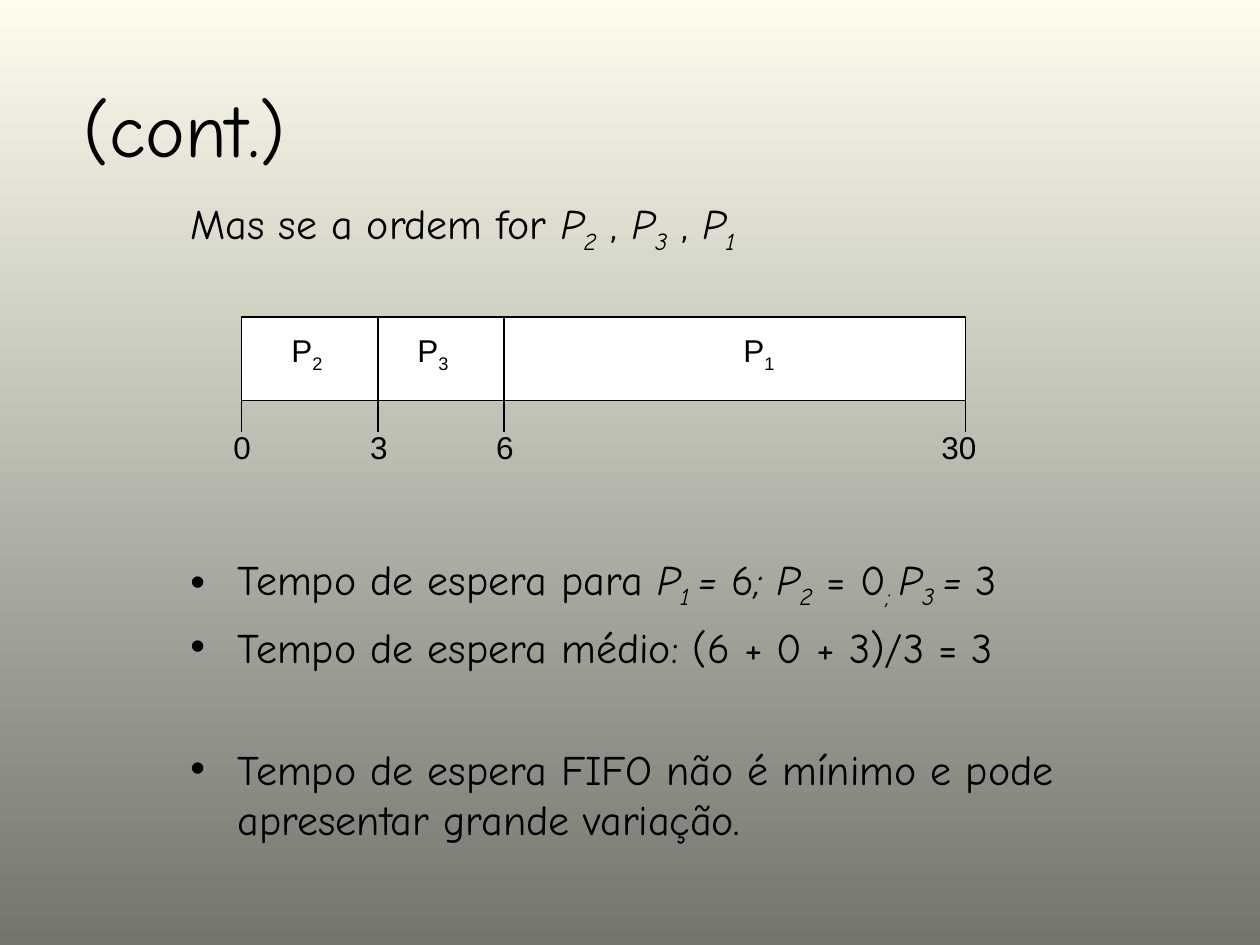
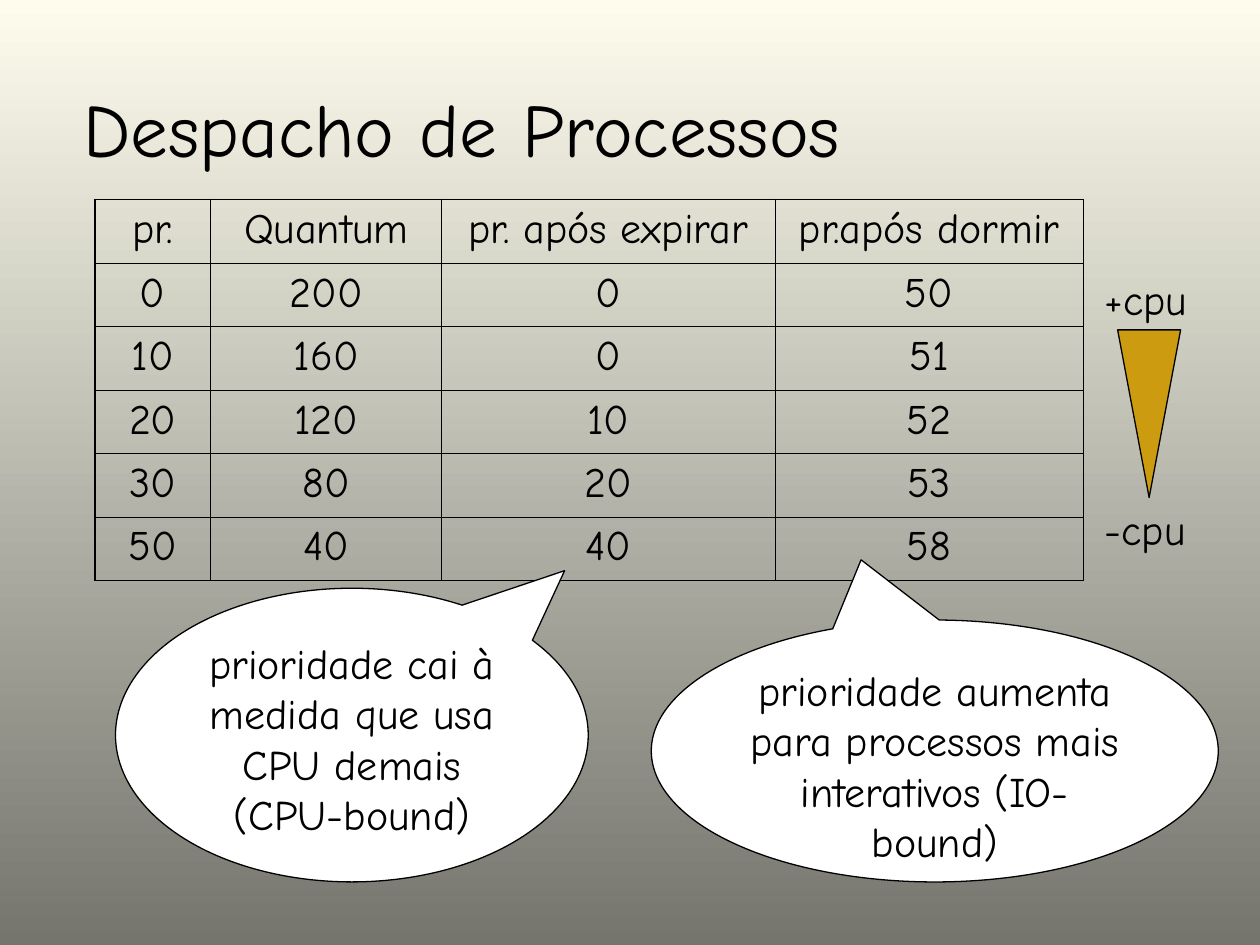
from lxml import etree
from pptx import Presentation, util as u
from pptx.dml.color import RGBColor
from pptx.enum import shapes, text
from pptx.oxml.ns import qn

BLACK, WHITE, GOLD = "000000", "FFFFFF", "CC9B10"
BACK_TOP, BACK_BOTTOM = "FDFCED", "75756E"
HAND, PLAIN = "Comic Neue", "Arial"
CENTER = text.PP_ALIGN.CENTER
TOP, MIDDLE = text.MSO_ANCHOR.TOP, text.MSO_ANCHOR.MIDDLE


def color(code):
    return RGBColor.from_string(code)


def lengths(*values):
    return [u.Cm(value) for value in values]


def process(number):
    """Spans for a process name: italic P with a subscript number."""
    return [("P", "i"), (number, "is")]


def add_bullet(para, indent):
    props = para._p.get_or_add_pPr()
    props.set("marL", str(u.Cm(indent)))
    props.set("indent", str(-u.Cm(indent)))
    etree.SubElement(props, qn("a:buFont"), typeface=PLAIN)
    etree.SubElement(props, qn("a:buChar"), char="•")


def write(frame, paras, size=24, font=HAND, align=None, anchor=TOP, wrap=True,
          bullet=None, gaps=()):
    """Each paragraph is a string or a list of (text, style); i = italic, s = subscript."""
    frame.word_wrap = wrap
    frame.vertical_anchor = anchor
    for index, spans in enumerate(paras):
        para = frame.add_paragraph() if index else frame.paragraphs[0]
        if index and gaps:
            para.space_before = u.Pt(gaps[index - 1])
        if bullet:
            add_bullet(para, bullet)
        para.alignment = align
        for words, style in [(spans, "")] if isinstance(spans, str) else spans:
            span = para.add_run()
            span.text = words
            span.font.name, span.font.size = font, u.Pt(size)
            span.font.color.rgb = color(BLACK)
            if "i" in style:
                span.font.italic = True
            if "s" in style:
                span._r.get_or_add_rPr().set("baseline", "-25000")


class Painter:
    line_width = 0.75
    outer_border, inner_border = 1.08, 0.45

    def __init__(self):
        self.deck = Presentation()
        self.deck.slide_width, self.deck.slide_height = lengths(25.4, 19.05)
        self.page = None

    def new_page(self, title):
        self.page = self.deck.slides.add_slide(self.deck.slide_layouts[6])
        fill = self.page.background.fill
        fill.gradient()
        fill.gradient_angle = 270
        for stop, code in zip(fill.gradient_stops, (BACK_TOP, BACK_BOTTOM)):
            stop.color.rgb = color(code)
        self.label(1.43, 1.52, 23.88, 2.08, [title], size=43, anchor=MIDDLE)

    def label(self, left, top, width, height, paras, **style):
        box = self.page.shapes.add_textbox(*lengths(left, top, width, height))
        write(box.text_frame, paras, **style)

    def centered_label(self, middle, top, width, height, spans):
        self.label(middle - width / 2, top, width, height, [spans], size=18,
                   font=PLAIN, align=CENTER, anchor=MIDDLE, wrap=False)

    def shape(self, kind, left, top, width, height, fill=WHITE):
        shape = self.page.shapes.add_shape(kind, *lengths(left, top, width, height))
        shape.shadow.inherit = False
        shape.fill.solid()
        shape.fill.fore_color.rgb = color(fill)
        shape.line.color.rgb = color(BLACK)
        shape.line.width = u.Pt(self.line_width)
        return shape

    def callout(self, left, top, width, height, tip, paras):
        shape = self.shape(shapes.MSO_SHAPE.OVAL_CALLOUT, left, top, width, height)
        shape.adjustments[0], shape.adjustments[1] = tip
        write(shape.text_frame, paras, align=CENTER)

    def vertical(self, x, top, bottom):
        line = self.page.shapes.add_connector(
            shapes.MSO_CONNECTOR.STRAIGHT, *lengths(x, top, x, bottom))
        line.line.color.rgb = color(BLACK)
        line.line.width = u.Pt(self.line_width)
        etree.SubElement(line._element.spPr, qn("a:effectLst"))

    def border(self, cell, side, width):
        line = etree.SubElement(cell._tc.get_or_add_tcPr(), qn("a:" + side),
                                w=str(u.Pt(width)))
        fill = etree.SubElement(line, qn("a:solidFill"))
        etree.SubElement(fill, qn("a:srgbClr"), val=BLACK)

    def table(self, left, top, widths, row_height, rows):
        frame = self.page.shapes.add_table(
            len(rows), len(widths),
            *lengths(left, top, sum(widths), row_height * len(rows)))
        table = frame.table
        table.first_row = table.horz_banding = False
        for column, width in zip(table.columns, widths):
            column.width = u.Cm(width)
        for r, row in enumerate(rows):
            table.rows[r].height = u.Cm(row_height)
            for c, value in enumerate(row):
                cell = table.cell(r, c)
                write(cell.text_frame, [value], align=CENTER)
                edges = {"lnL": c == 0, "lnR": c == len(row) - 1,
                         "lnT": r == 0, "lnB": r == len(rows) - 1}
                for side, outer in edges.items():
                    self.border(cell, side, self.outer_border if outer else self.inner_border)
                cell.fill.background()


def waiting_times(painter):
    painter.new_page("(cont.)")
    text_left, text_width = 3.59, 19.71
    painter.label(text_left, 3.86, text_width, 1.27, [
        [("Mas se a ordem for ", ""), *process("2"), (" , ", ""),
         *process("3"), (" , ", ""), *process("1")]])

    # Schedule bar with its time marks
    bar_top, bar_bottom, tick_bottom = 6.39, 8.08, 8.71
    marks = [("0", 4.87, 4.88), ("3", 7.62, 7.64), ("6", 10.16, 10.18), ("30", 19.47, 19.33)]
    start, end = marks[0][1], marks[-1][1]
    painter.shape(shapes.MSO_SHAPE.RECTANGLE, start, bar_top, end - start, bar_bottom - bar_top)
    for number, middle in (("2", 6.19), ("3", 8.73), ("1", 15.3)):
        painter.centered_label(middle, 6.55, 1.6, 1.12, [("P", ""), (number, "s")])
    for time, x, middle in marks:
        painter.vertical(x, bar_top if start < x < end else bar_bottom, tick_bottom)
        painter.centered_label(middle, 8.51, 1.6, 1.02, time)

    # Conclusions
    painter.label(text_left, 11.03, text_width, 7.16, [
        [("Tempo de espera para ", ""), ("P", "i"), ("1 ", "is"), ("=", "i"), (" 6", ""),
         ("; P", "i"), ("2", "is"), (" = 0", ""), ("; ", "is"), *process("3 "),
         ("= ", "i"), ("3", "")],
        "Tempo de espera médio: (6 + 0 + 3)/3 = 3",
        "Tempo de espera FIFO não é mínimo e pode apresentar grande variação.",
    ], bullet=0.95, gaps=(6, 41))


def process_dispatch(painter):
    painter.new_page("Despacho de Processos")
    painter.table(1.91, 4.02, [2.34, 4.65, 6.72, 6.22], 1.28, [
        ["pr.", "Quantum", "pr. após expirar", "pr.após dormir"],
        ["0", "200", "0", "50"],
        ["10", "160", "0", "51"],
        ["20", "120", "10", "52"],
        ["30", "80", "20", "53"],
        ["50", "40", "40", "58"],
    ])

    # Remarks on the last two columns
    painter.callout(2.33, 11.86, 9.53, 5.92, (0.45, -0.56),
                    ["prioridade cai à medida que usa CPU demais", "(CPU-bound)"])
    painter.callout(13.13, 12.5, 11.43, 5.28, (-0.13, -0.73),
                    ["prioridade aumenta para processos mais interativos (IO-bound)"])

    # Scale of processor use
    for words, top in (("+cpu", 5.38), ("-cpu", 10.03)):
        painter.label(22.02, top, 2.74, 1.27, [words])
    wedge = painter.shape(shapes.MSO_SHAPE.ISOSCELES_TRIANGLE, 22.53, 6.65, 1.27, 3.38, GOLD)
    wedge.rotation = 180


def main():
    painter = Painter()
    waiting_times(painter)
    process_dispatch(painter)
    painter.deck.save("out.pptx")


if __name__ == "__main__":
    main()
